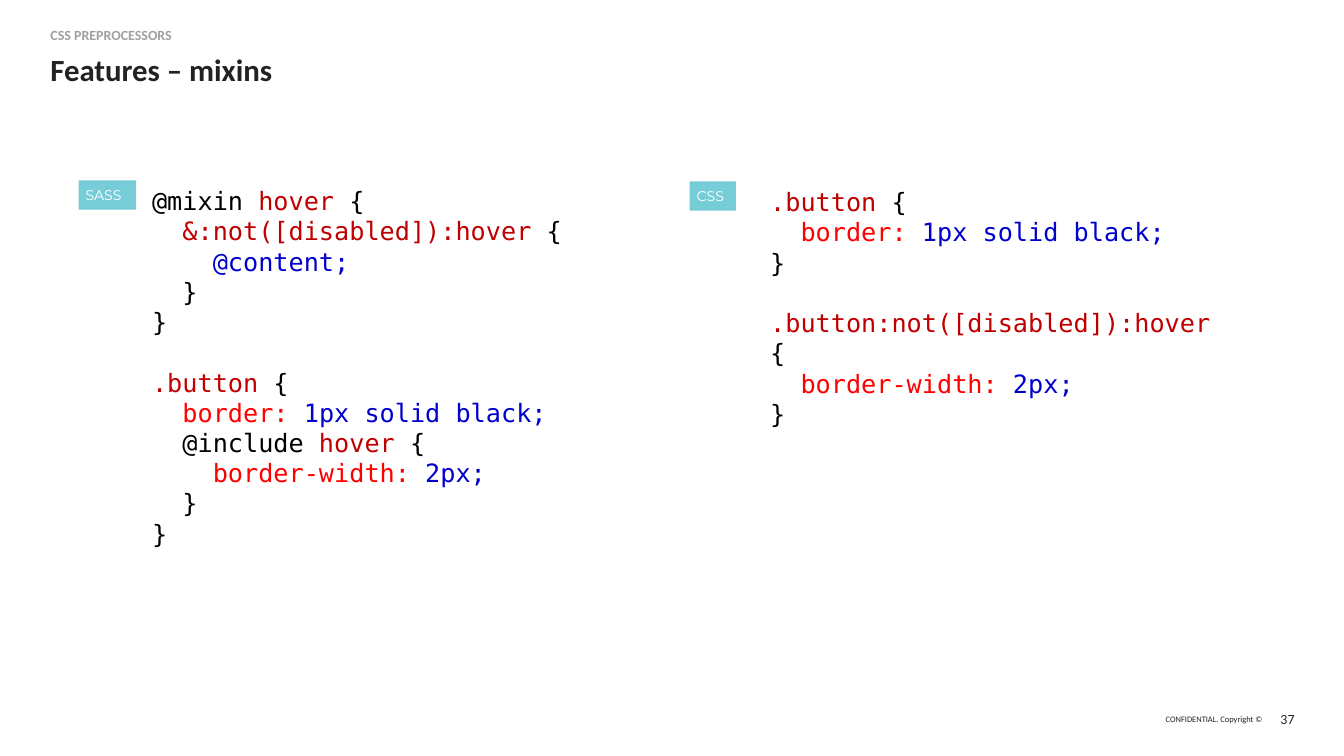
from dataclasses import dataclass

from pptx import Presentation
from pptx.dml.color import RGBColor
from pptx.enum import shapes, text
from pptx.util import Inches, Pt


@dataclass(frozen=True)
class Theme:
    ink: str = "222222"
    muted: str = "A0A0A0"
    tag_fill: str = "76CDD8"
    tag_text: str = "FFFFFF"
    plain: str = "000000"
    selector: str = "C00000"
    prop: str = "FF0000"
    value: str = "0000CD"
    body_font: str = "Calibri"
    code_font: str = "DejaVu Sans Mono"
    tag_font: str = "Montserrat"
    title_size: float = 22
    code_size: float = 18
    small_size: float = 10
    footer_size: float = 6
    code_line: float = 21.6


THEME = Theme()

# Text, box (left, top, width, height), size, colour, bold, alignment, anchor, line spacing
LEFT, RIGHT = text.PP_ALIGN.LEFT, text.PP_ALIGN.RIGHT
TOP, MIDDLE = text.MSO_ANCHOR.TOP, text.MSO_ANCHOR.MIDDLE
LABELS = [
    ("CSS PREPROCESSORS", (0.5, 0.25, 3.95, 0.25), THEME.small_size, THEME.muted, True, LEFT, TOP, 1.1),
    ("Features – mixins", (0.5, 0.5, 12.33, 0.5), THEME.title_size, THEME.ink, True, LEFT, TOP, 1.0),
    ("CONFIDENTIAL. Copyright ©", (11.49, 7.01, 1.03, 0.24), THEME.footer_size, THEME.ink, False, RIGHT, MIDDLE, 1.0),
    ("37", (12.57, 7.01, 0.27, 0.24), THEME.small_size, THEME.ink, False, RIGHT, MIDDLE, 1.0),
]

# Each line is a list of (text, colour); blocks are set apart by one line
OPEN = ("{", THEME.plain)
CLOSE = [("}", THEME.plain)]
INNER_CLOSE = [("  }", THEME.plain)]
BUTTON = [(".button ", THEME.selector), OPEN]
BORDER = [("  border: ", THEME.prop), ("1px solid black;", THEME.value)]
SASS = [
    [
        [("@mixin ", THEME.plain), ("hover ", THEME.selector), OPEN],
        [("  &:not([disabled]):hover ", THEME.selector), OPEN],
        [("    @content;", THEME.value)],
        INNER_CLOSE,
        CLOSE,
    ],
    [
        BUTTON,
        BORDER,
        [("  @include ", THEME.plain), ("hover ", THEME.selector), OPEN],
        [("    border-width: ", THEME.prop), ("2px;", THEME.value)],
        INNER_CLOSE,
        CLOSE,
    ],
]
CSS = [
    [BUTTON, BORDER, CLOSE],
    [
        [(".button:not([disabled]):hover ", THEME.selector), OPEN],
        [("  border-width: ", THEME.prop), ("2px;", THEME.value)],
        CLOSE,
    ],
]

# Tag, tag left, tag width, code left, code width, code height, top, blocks
TAG_HEIGHT = 0.29
PANELS = [
    ("SASS", 0.78, 0.57, 1.41, 4.78, 3.74, 1.79, SASS),
    ("CSS", 6.84, 0.46, 7.54, 4.58, 2.22, 1.8, CSS),
]


def add_run(paragraph, words, font, size, colour, bold=False):
    run = paragraph.add_run()
    run.text = words
    run.font.name = font
    run.font.size = Pt(size)
    run.font.bold = bold
    run.font.color.rgb = RGBColor.from_string(colour)


def set_insets(frame, across, down):
    frame.margin_left = frame.margin_right = Inches(across)
    frame.margin_top = frame.margin_bottom = Inches(down)
    frame.word_wrap = True


def add_label(slide, words, box, size, colour, bold, alignment, anchor, spacing):
    frame = slide.shapes.add_textbox(*map(Inches, box)).text_frame
    set_insets(frame, 0, 0)
    frame.vertical_anchor = anchor
    paragraph = frame.paragraphs[0]
    paragraph.alignment = alignment
    paragraph.line_spacing = spacing
    add_run(paragraph, words, THEME.body_font, size, colour, bold)


def add_tag(slide, words, box):
    tag = slide.shapes.add_shape(shapes.MSO_SHAPE.RECTANGLE, *map(Inches, box))
    tag.shadow.inherit = False
    tag.fill.solid()
    tag.fill.fore_color.rgb = RGBColor.from_string(THEME.tag_fill)
    tag.line.fill.background()
    frame = tag.text_frame
    set_insets(frame, 0.07, 0.06)
    frame.vertical_anchor = MIDDLE
    paragraph = frame.paragraphs[0]
    paragraph.alignment = LEFT
    add_run(paragraph, words, THEME.tag_font, THEME.small_size, THEME.tag_text)


def add_code(slide, blocks, box):
    frame = slide.shapes.add_textbox(*map(Inches, box)).text_frame
    set_insets(frame, 0.1, 0.05)
    for block_index, block in enumerate(blocks):
        for line_index, line in enumerate(block):
            first_in_block = line_index == 0
            if block_index == 0 and first_in_block:
                paragraph = frame.paragraphs[0]
            else:
                paragraph = frame.add_paragraph()
            if block_index and first_in_block:
                paragraph.space_before = Pt(THEME.code_line)
            for words, colour in line:
                add_run(paragraph, words, THEME.code_font, THEME.code_size, colour)


def main():
    presentation = Presentation()
    presentation.slide_width, presentation.slide_height = Inches(13.33), Inches(7.5)
    slide = presentation.slides.add_slide(presentation.slide_layouts[6])
    for label in LABELS:
        add_label(slide, *label)
    for tag, tag_left, tag_width, code_left, code_width, code_height, top, blocks in PANELS:
        add_code(slide, blocks, (code_left, top, code_width, code_height))
        add_tag(slide, tag, (tag_left, top, tag_width, TAG_HEIGHT))
    presentation.save("out.pptx")


if __name__ == "__main__":
    main()
